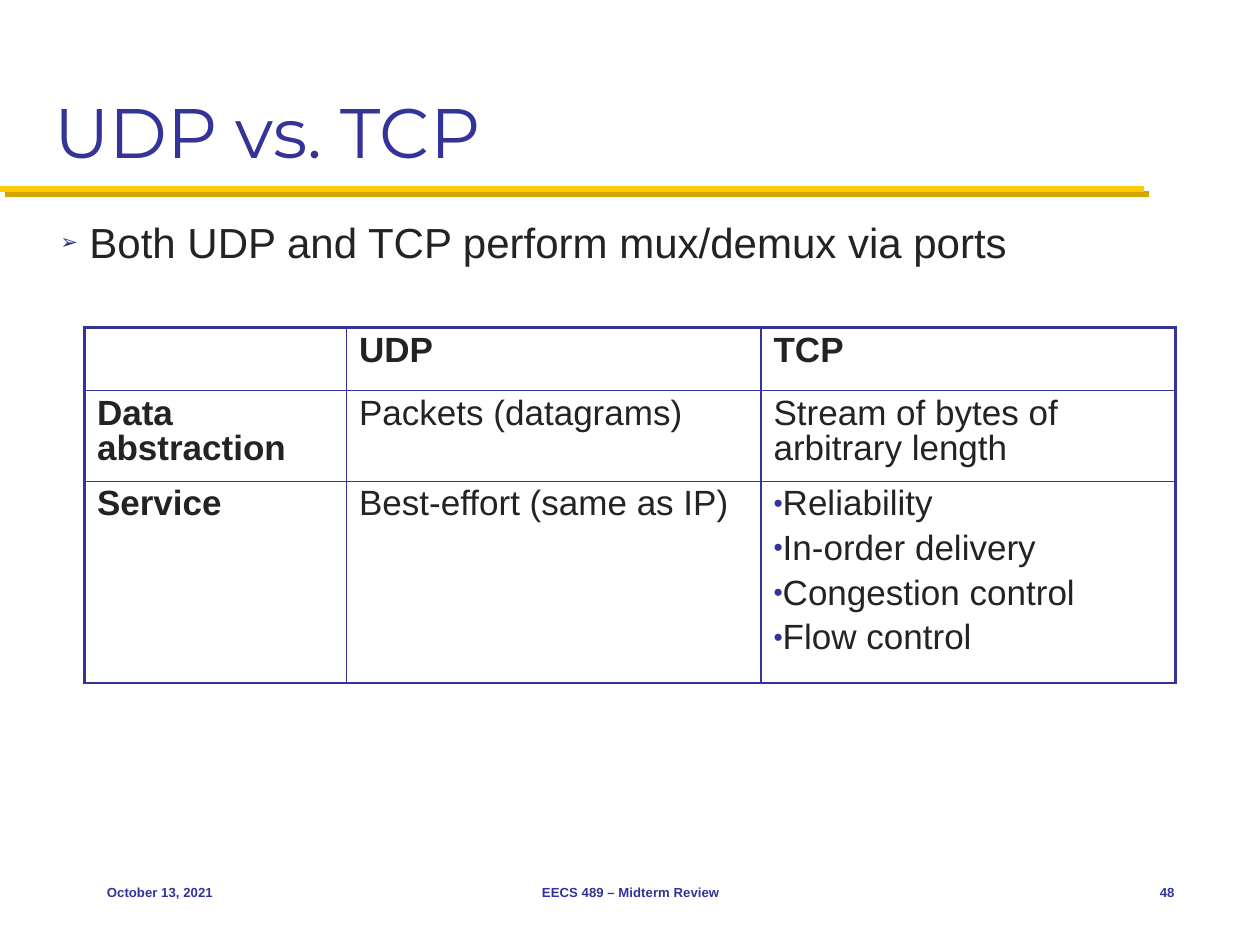
"""Build the slide that compares UDP with TCP in a bordered table."""
from lxml.etree import SubElement
from pptx import Presentation
from pptx.dml.color import RGBColor
from pptx.enum.shapes import MSO_CONNECTOR
from pptx.enum.text import MSO_ANCHOR, MSO_AUTO_SIZE, PP_ALIGN
from pptx.oxml.ns import qn
from pptx.util import Inches, Pt

NAVY, INK, GOLD, DARK_GOLD = "333399", "232323", "FFCB05", "D3A600"
TITLE = "UDP vs. TCP"
STATEMENT = "Both UDP and TCP perform mux/demux via ports"
COMPARISON = [
    [[], ["UDP"], ["TCP"]],
    [["Data abstraction"], ["Packets (datagrams)"], ["Stream of bytes of arbitrary length"]],
    [["Service"], ["Best-effort (same as IP)"],
     ["Reliability", "In-order delivery", "Congestion control", "Flow control"]],
]
COLUMN_WIDTHS = [2.08, 3.29, 3.29]
ROW_HEIGHTS = [0.5, 0.72, 1.6]
FOOTER_TOP, FOOTER_HEIGHT = 6.83, 0.5
FOOTERS = [
    ("October 13, 2021", 0.75, 2.08, PP_ALIGN.LEFT),
    ("EECS 489 – Midterm Review", 3.42, 3.17, PP_ALIGN.CENTER),
    ("48", 8.75, 0.67, PP_ALIGN.RIGHT),
]


def color(hex_code):
    return RGBColor.from_string(hex_code)


def write(paragraph, text, size, hex_code, font="Arial", bold=False):
    run = paragraph.add_run()
    run.text = text
    run.font.size, run.font.name, run.font.bold = Pt(size), font, bold
    run.font.color.rgb = color(hex_code)


def add_bullet(paragraph, mark, percent, margin=0.0, indent=0.0):
    properties = paragraph._p.get_or_add_pPr()
    properties.set("marL", str(Inches(margin)))
    properties.set("indent", str(Inches(indent)))
    bullet_color = SubElement(properties, qn("a:buClr"))
    SubElement(bullet_color, qn("a:srgbClr"), val=NAVY)
    SubElement(properties, qn("a:buSzPct"), val=str(percent * 1000))
    SubElement(properties, qn("a:buFont"), typeface="Arial")
    SubElement(properties, qn("a:buChar"), char=mark)


def place(shape, left, top, width, height):
    shape.left, shape.top = Inches(left), Inches(top)
    shape.width, shape.height = Inches(width), Inches(height)


def add_rule(slide):
    rule = slide.shapes.add_connector(
        MSO_CONNECTOR.STRAIGHT, 0, Inches(1.5), Inches(9.08), Inches(1.5))
    rule.line.color.rgb = color(GOLD)
    rule.line.width = Pt(3.5)
    effects = SubElement(rule._element.spPr, qn("a:effectLst"))
    shadow = SubElement(effects, qn("a:outerShdw"), blurRad="0", dist=str(Pt(4.2)),
                        dir=str(45 * 60000), algn="ctr", rotWithShape="0")
    SubElement(shadow, qn("a:srgbClr"), val=DARK_GOLD)


def add_headings(slide):
    title, body = slide.shapes.title, slide.placeholders[1]
    place(title, 0.33, 0.17, 9.33, 1.25)
    place(body, 0, 1.67, 8.83, 0.75)
    for holder, anchor in ((title, MSO_ANCHOR.BOTTOM), (body, MSO_ANCHOR.TOP)):
        holder.text_frame.auto_size = MSO_AUTO_SIZE.NONE
        holder.text_frame.vertical_anchor = anchor
        holder.text_frame.paragraphs[0].alignment = PP_ALIGN.LEFT
    write(title.text_frame.paragraphs[0], TITLE, 40, NAVY, "Montserrat")
    statement = body.text_frame.paragraphs[0]
    statement.level = 1
    statement.space_before = Pt(0)
    add_bullet(statement, "➢", 50, 0.61, -0.23)
    write(statement, STATEMENT, 24, INK)


def set_borders(cell, row, column):
    thick_sides = {"L": column == 0, "R": column == len(COLUMN_WIDTHS) - 1,
                   "T": row == 0, "B": False}
    properties = cell._tc.get_or_add_tcPr()
    for side, thick in thick_sides.items():
        border = SubElement(properties, qn(f"a:ln{side}"), w=str(Pt(2.25 if thick else 1)))
        fill = SubElement(border, qn("a:solidFill"))
        SubElement(fill, qn("a:srgbClr"), val=NAVY)


def add_comparison(slide):
    table = slide.shapes.add_table(
        len(ROW_HEIGHTS), len(COLUMN_WIDTHS), Inches(0.67), Inches(2.6),
        Inches(sum(COLUMN_WIDTHS)), Inches(sum(ROW_HEIGHTS))).table
    table.first_row = table.horz_banding = False
    for column, width in zip(table.columns, COLUMN_WIDTHS):
        column.width = Inches(width)
    for table_row, height in zip(table.rows, ROW_HEIGHTS):
        table_row.height = Inches(height)
    for row, entries in enumerate(COMPARISON):
        for column, lines in enumerate(entries):
            cell = table.cell(row, column)
            set_borders(cell, row, column)
            cell.fill.background()
            for index, line in enumerate(lines):
                frame = cell.text_frame
                paragraph = frame.add_paragraph() if index else frame.paragraphs[0]
                paragraph.line_spacing = 0.9
                paragraph.space_before = Pt(5.5 if index else 0)
                if len(lines) > 1:
                    add_bullet(paragraph, "•", 75)
                write(paragraph, line, 20, INK, bold=row == 0 or column == 0)


def add_footers(slide):
    for text, left, width, alignment in FOOTERS:
        footer = slide.shapes.add_textbox(
            Inches(left), Inches(FOOTER_TOP), Inches(width), Inches(FOOTER_HEIGHT))
        footer.text_frame.word_wrap = True
        footer.text_frame.vertical_anchor = MSO_ANCHOR.MIDDLE
        paragraph = footer.text_frame.paragraphs[0]
        paragraph.alignment = alignment
        write(paragraph, text, 7.5, NAVY, bold=True)


def main():
    deck = Presentation()
    deck.slide_width, deck.slide_height = Inches(10), Inches(7.5)
    slide = deck.slides.add_slide(deck.slide_layouts[1])
    add_rule(slide)
    add_headings(slide)
    add_comparison(slide)
    add_footers(slide)
    deck.save("out.pptx")


if __name__ == "__main__":
    main()
